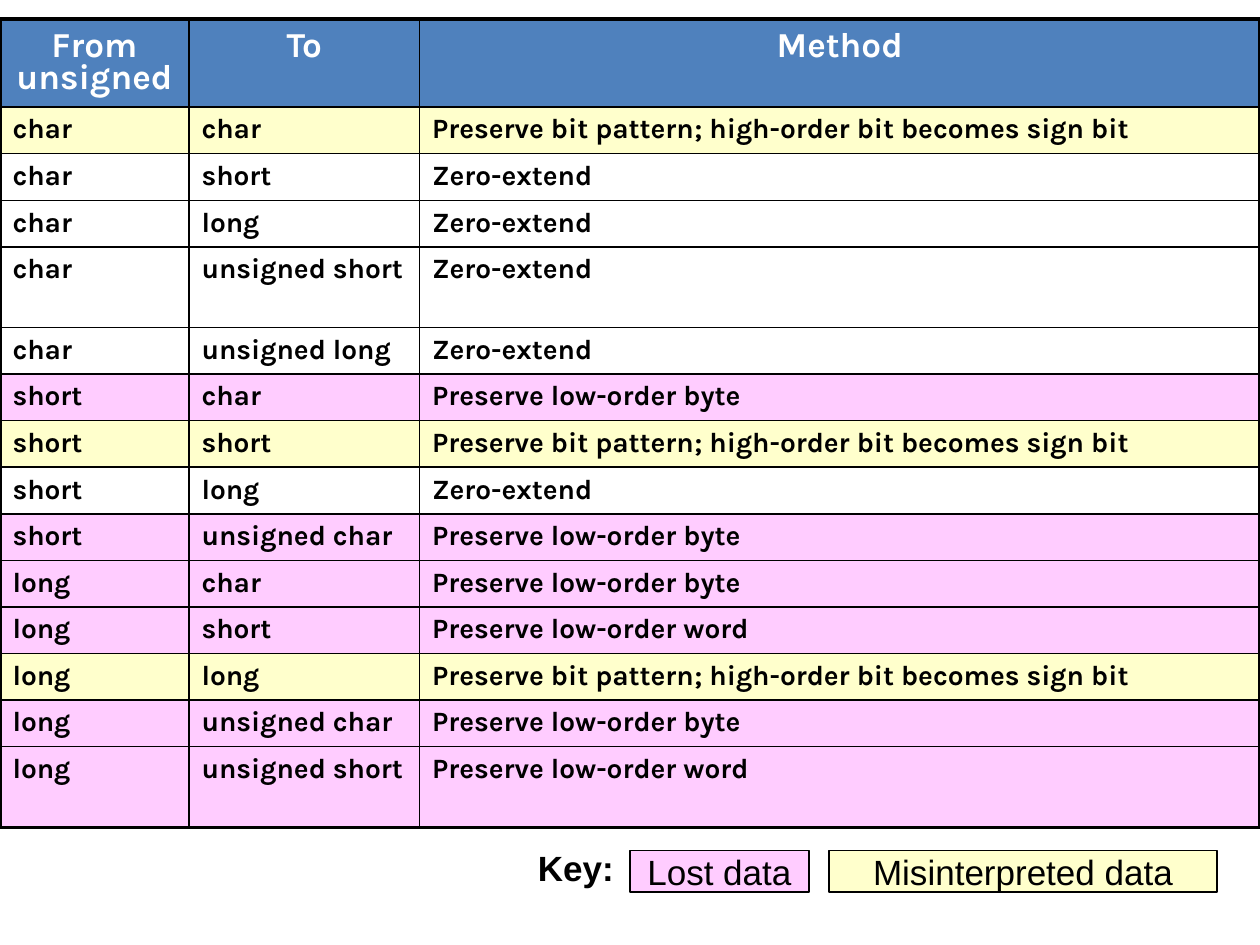
"""Build the slide on converting unsigned integer types, with its colour key."""
from typing import Any, NamedTuple

from pptx import Presentation
from pptx import util as u
from pptx.dml.color import RGBColor
from pptx.enum import shapes, text
from pptx.oxml import parse_xml
from pptx.oxml.ns import nsdecls

BLACK, WHITE, BLUE = "000000", "FFFFFF", "4F81BD"
LOST, MISREAD = "FFCCFF", "FFFFCC"
THIN, THICK = 1, 2.25

SIGN = "Preserve bit pattern; high-order bit becomes sign bit"
ZERO = "Zero-extend"
BYTE = "Preserve low-order byte"
WORD = "Preserve low-order word"
FILLS = {SIGN: MISREAD, ZERO: WHITE, BYTE: LOST, WORD: LOST}

HEADER = ("From\nunsigned", "To", "Method")
COL_WIDTHS = (1.5, 1.83, 6.67)
HEADER_HEIGHT, ROW_HEIGHT, TALL_HEIGHT = 0.7, 0.37, 0.64


class Conversion(NamedTuple):
    source: str
    target: str
    method: str
    height: float = ROW_HEIGHT


class KeyBox(NamedTuple):
    label: str
    left: float
    width: float
    fill: str


CONVERSIONS = (
    Conversion("char", "char", SIGN),
    Conversion("char", "short", ZERO),
    Conversion("char", "long", ZERO),
    Conversion("char", "unsigned short", ZERO, TALL_HEIGHT),
    Conversion("char", "unsigned long", ZERO),
    Conversion("short", "char", BYTE),
    Conversion("short", "short", SIGN),
    Conversion("short", "long", ZERO),
    Conversion("short", "unsigned char", BYTE),
    Conversion("long", "char", BYTE),
    Conversion("long", "short", WORD),
    Conversion("long", "long", SIGN),
    Conversion("long", "unsigned char", BYTE),
    Conversion("long", "unsigned short", WORD, TALL_HEIGHT),
)
KEY_BOXES = (
    KeyBox("Misinterpreted data", 6.58, 3.08, MISREAD),
    KeyBox("Lost data", 5, 1.42, LOST),
)


def rgb(value: str) -> RGBColor:
    return RGBColor.from_string(value)


def paint(target: Any, value: str) -> None:
    target.fill.solid()
    target.fill.fore_color.rgb = rgb(value)


def write(tf: Any, words: str, color: str = BLACK, centred: bool = True, **font: Any) -> None:
    tf.text = words
    for p in tf.paragraphs:
        p.alignment = text.PP_ALIGN.CENTER if centred else text.PP_ALIGN.LEFT
        for r in p.runs:
            r.font.color.rgb = rgb(color)
            for name, value in font.items():
                setattr(r.font, name, value)


def add_borders(cell: Any, widths: dict[str, float]) -> None:
    tc_pr = cell._tc.get_or_add_tcPr()
    for side, width in widths.items():
        tc_pr.append(parse_xml(
            f'<a:ln{side} {nsdecls("a")} w="{u.Pt(width)}"><a:solidFill>'
            f'<a:srgbClr val="{BLACK}"/></a:solidFill></a:ln{side}>'))


def add_conversion_table(s: Any) -> None:
    rows = len(CONVERSIONS) + 1
    cols = len(HEADER)
    heights = [HEADER_HEIGHT] + [c.height for c in CONVERSIONS]
    table = s.shapes.add_table(rows, cols, 0, u.Inches(0.15), u.Inches(sum(COL_WIDTHS)),
                               u.Inches(sum(heights))).table
    for column, width in zip(table.columns, COL_WIDTHS):
        column.width = u.Inches(width)
    for row, height in zip(table.rows, heights):
        row.height = u.Inches(height)
    for i, line in enumerate((HEADER, *CONVERSIONS)):
        head = i == 0
        for j, words in enumerate(line[:cols]):
            cell = table.cell(i, j)
            add_borders(cell, {
                "L": THICK if j == 0 else THIN,
                "R": THICK if j == cols - 1 else THIN,
                "T": THICK if head else THIN,
                "B": THICK if i == rows - 1 else THIN,
            })
            paint(cell, BLUE if head else FILLS[line[2]])
            write(cell.text_frame, words, WHITE if head else BLACK, head,
                  name="Karla", size=u.Pt(20 if head else 16), bold=True)
    p = table.cell(0, 0).text_frame.paragraphs[1]
    p.line_spacing, p.space_before = 0.5, u.Pt(4)


def add_key_box(s: Any, box: KeyBox) -> None:
    sp = s.shapes.add_shape(shapes.MSO_SHAPE.RECTANGLE, u.Inches(box.left), u.Inches(6.75),
                            u.Inches(box.width), u.Inches(0.33))
    sp.shadow.inherit = False
    paint(sp, box.fill)
    sp.line.color.rgb = rgb(BLACK)
    sp.line.width = u.Pt(THIN)
    tf = sp.text_frame
    tf.word_wrap = False
    tf.vertical_anchor = text.MSO_ANCHOR.MIDDLE
    write(tf, box.label, name="Arial", size=u.Pt(20))


def add_key_label(s: Any) -> None:
    sp = s.shapes.add_textbox(u.Inches(4.17), u.Inches(6.67), u.Inches(0.8), u.Inches(0.43))
    tf = sp.text_frame
    tf.word_wrap = False
    tf.auto_size = text.MSO_AUTO_SIZE.SHAPE_TO_FIT_TEXT
    write(tf, "Key:", name="Arial", size=u.Pt(20), bold=True)


def main() -> None:
    prs = Presentation()
    prs.slide_width, prs.slide_height = u.Inches(10), u.Inches(7.5)
    s = prs.slides.add_slide(prs.slide_layouts[6])
    add_conversion_table(s)
    for box in KEY_BOXES:
        add_key_box(s, box)
    add_key_label(s)
    prs.save("out.pptx")


if __name__ == "__main__":
    main()
